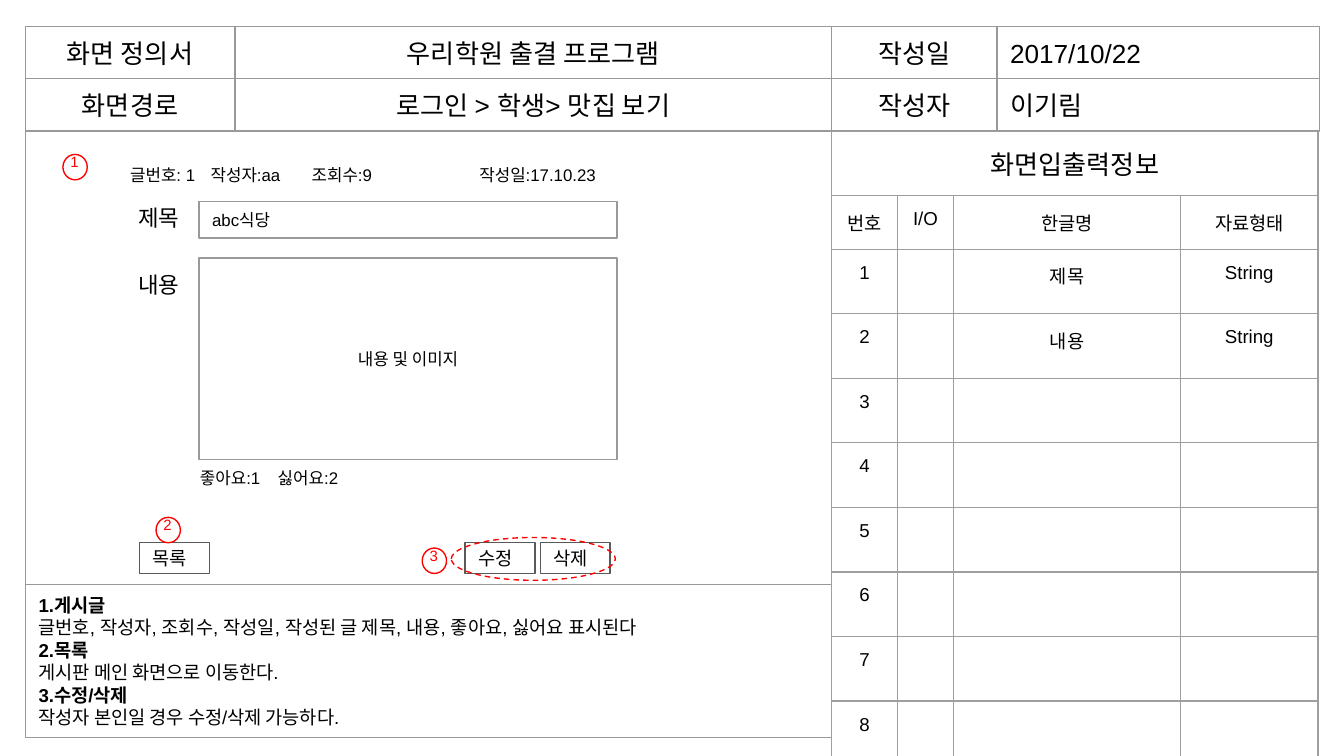
from lxml import etree
from pptx import Presentation, util as u
from pptx.dml.color import RGBColor
from pptx.enum import dml, shapes, text
from pptx.oxml import ns

BLACK = RGBColor(0, 0, 0)
WHITE = RGBColor(255, 255, 255)
GRAY = RGBColor(0x99, 0x99, 0x99)
DARK = RGBColor(0x59, 0x59, 0x59)
RED = RGBColor(255, 0, 0)
RULE = RGBColor(0x9E, 0x9E, 0x9E)
LEFT, CENTER = text.PP_ALIGN.LEFT, text.PP_ALIGN.CENTER
RECT, OVAL = shapes.MSO_SHAPE.RECTANGLE, shapes.MSO_SHAPE.OVAL
PAD = 0.25


def style(frame, words, size, color=BLACK, align=LEFT):
    frame.text = words
    for para in frame.paragraphs:
        para.alignment = align
        for run in para.runs:
            run.font.size = u.Pt(size)
            run.font.name = "Arial"
            run.font.color.rgb = color


def inset(item):
    item.margin_left = item.margin_right = u.Cm(PAD)
    item.margin_top = item.margin_bottom = u.Cm(PAD)


def shape(slide, box, kind=RECT, line=GRAY, fill=WHITE):
    item = slide.shapes.add_shape(kind, *map(u.Cm, box))
    item.shadow.inherit = False
    if fill is None:
        item.fill.background()
    else:
        item.fill.solid()
        item.fill.fore_color.rgb = fill
    item.line.color.rgb = line
    item.line.width = u.Pt(0.75)
    return item


def panel(slide, box, words, size, align=LEFT, line=GRAY):
    frame = shape(slide, box, line=line).text_frame
    frame.word_wrap = True
    frame.vertical_anchor = text.MSO_ANCHOR.MIDDLE
    inset(frame)
    style(frame, words, size, align=align)
    return frame


def label(slide, box, words, size, color=BLACK, align=LEFT):
    frame = slide.shapes.add_textbox(*map(u.Cm, box)).text_frame
    frame.word_wrap = True
    inset(frame)
    style(frame, words, size, color, align)


def badge(slide, x, y, words):
    shape(slide, (x, y, 0.46, 0.48), OVAL, RED, None)
    label(slide, (x - 0.11, y - 0.2, 0.66, 0.64), words, 8, RED)


def header(slide, x, y):
    rows = [("화면 정의서", "우리학원 출결 프로그램", "작성일", "2017/10/22"),
            ("화면경로", "로그인 > 학생> 맛집 보기", "작성자", "이기림")]
    widths = (3.96, 11.28, 3.12, 6.1)
    high = 0.99
    for r, row in enumerate(rows):
        for c, words in enumerate(row):
            box = (x + sum(widths[:c]), y + r * high, widths[c], high)
            panel(slide, box, words, 14, LEFT if c == 3 else CENTER)


def screen(slide, x, y, w, h):
    shape(slide, (x, y, w, h))
    facts = [(1.73, 0.44, 1.98, "글번호: 1"), (3.25, 0.44, 1.98, "작성자:aa"),
             (5.16, 0.44, 1.98, "조회수:9"), (8.33, 0.44, 2.82, "작성일:17.10.23"),
             (3.05, 6.16, 1.98, "좋아요:1"), (4.52, 6.16, 1.98, "싫어요:2")]
    for dx, dy, wide, words in facts:
        label(slide, (x + dx, y + dy, wide, 0.69), words, 9)
    for dy, words in ((1.13, "제목"), (2.4, "내용")):
        label(slide, (x + 1.68, y + dy, 1.68, 0.69), words, 12, align=CENTER)
    panel(slide, (x + 3.28, y + 1.33, 7.9, 0.69), "abc식당", 9)
    panel(slide, (x + 3.28, y + 2.4, 7.9, 3.81), "내용 및 이미지", 9, CENTER)
    for dx, words in ((2.16, "목록"), (8.31, "수정"), (9.73, "삭제")):
        panel(slide, (x + dx, y + 7.78, 1.32, 0.58), words, 10, line=DARK)
    ring = shape(slide, (x + 8.05, y + 7.68, 3.1, 0.81), OVAL, RED, None)
    ring.line.dash_style = dml.MSO_LINE.DASH
    marks = ((0.71, 0.44), (2.47, 7.3), (7.5, 7.88))
    for n, (dx, dy) in enumerate(marks, 1):
        badge(slide, x + dx, y + dy, str(n))


def notes(slide, x, y, w, h):
    items = [("1.게시글", "글번호, 작성자, 조회수, 작성일, 작성된 글 제목, 내용, 좋아요, 싫어요 표시된다"),
             ("2.목록", "게시판 메인 화면으로 이동한다."),
             ("3.수정/삭제", "작성자 본인일 경우 수정/삭제 가능하다.")]
    words = "\n".join(part for item in items for part in item)
    frame = panel(slide, (x, y, w, h), words, 10)
    for head in frame.paragraphs[::2]:
        head.runs[0].font.bold = True


def border(cell):
    props = cell._tc.get_or_add_tcPr()
    for n, side in enumerate(("a:lnL", "a:lnR", "a:lnT", "a:lnB")):
        edge = etree.Element(ns.qn(side), w=str(u.Pt(0.75)))
        fill = etree.SubElement(edge, ns.qn("a:solidFill"))
        etree.SubElement(fill, ns.qn("a:srgbClr"), val=str(RULE))
        props.insert(n, edge)


def fields(slide, x, y):
    widths = (1.24, 1.06, 4.29, 2.6)
    rows = [("화면입출력정보", "", "", ""), ("번호", "I/O", "한글명", "자료형태"),
            ("1", "", "제목", "String"), ("2", "", "내용", "String")]
    rows += [(str(n), "", "", "") for n in range(3, 9)]
    highs = [1.22, 1.01] + [1.22] * 8
    box = (x, y, sum(widths), sum(highs))
    grid = slide.shapes.add_table(len(rows), 4, *map(u.Cm, box)).table
    grid.first_row = grid.horz_banding = False
    for col, wide in zip(grid.columns, widths):
        col.width = u.Cm(wide)
    for r, row in enumerate(rows):
        grid.rows[r].height = u.Cm(highs[r])
        for c, words in enumerate(row):
            cell = grid.cell(r, c)
            inset(cell)
            cell.fill.background()
            border(cell)
            style(cell.text_frame, words, 10 if r else 14, align=CENTER)
            if not words:
                para = cell.text_frame.paragraphs[0]._p
                etree.SubElement(para, ns.qn("a:endParaRPr"), sz="1000")
    grid.cell(0, 0).merge(grid.cell(0, 3))


def main():
    deck = Presentation()
    deck.slide_width, deck.slide_height = u.Cm(25.4), u.Cm(14.29)
    slide = deck.slides.add_slide(deck.slide_layouts[6])
    header(slide, 0.48, 0.5)
    screen(slide, 0.48, 2.48, 15.24, 8.57)
    notes(slide, 0.48, 11.05, 15.24, 2.89)
    fields(slide, 15.72, 2.48)
    deck.save("out.pptx")


main()
